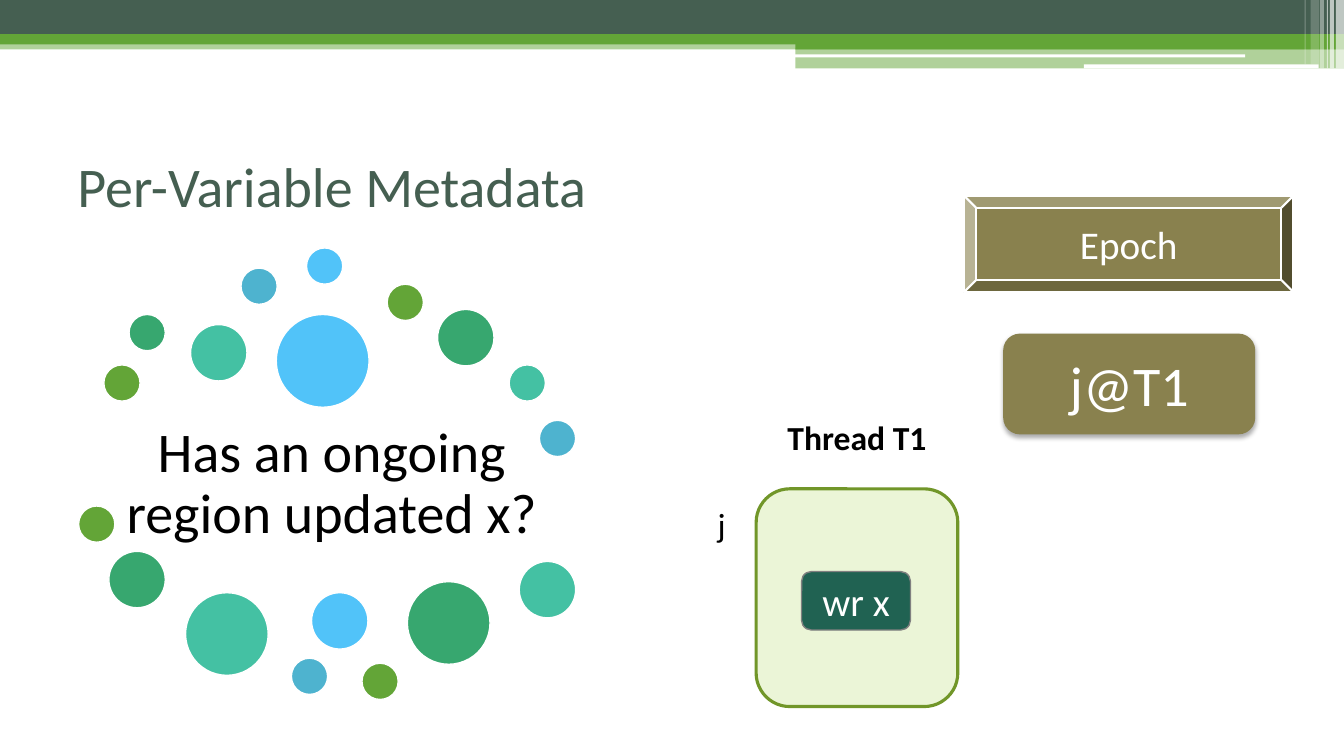
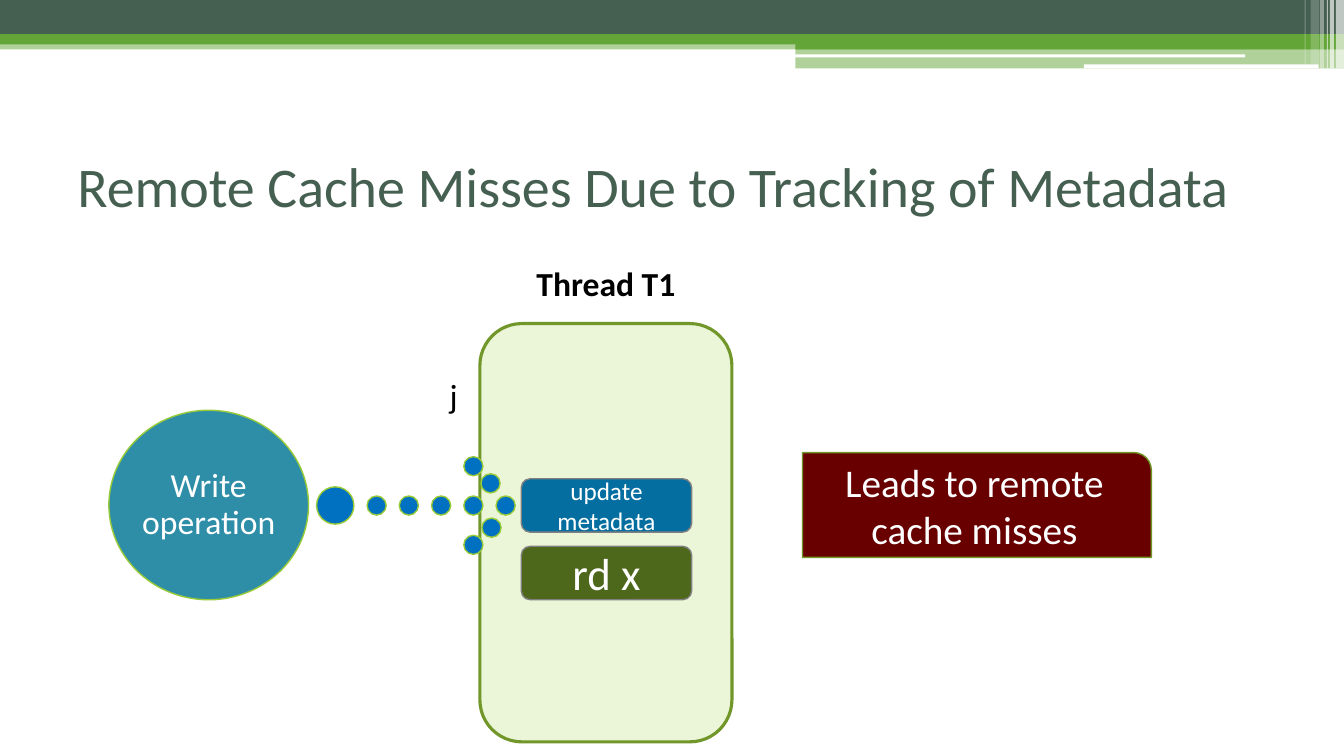
from itertools import cycle
from typing import NamedTuple

from lxml.etree import SubElement
from pptx import Presentation
from pptx.dml.color import RGBColor
from pptx.enum.shapes import MSO_SHAPE
from pptx.enum.text import MSO_ANCHOR, PP_ALIGN
from pptx.oxml.ns import qn
from pptx.util import Pt

EMU_PER_PX = 9144
SLIDE_W, SLIDE_H = 1333, 750
FONT = "Calibri"

WHITE = RGBColor(0xFF, 0xFF, 0xFF)
BLACK = RGBColor(0x00, 0x00, 0x00)
FOREST = RGBColor(0x45, 0x5F, 0x51)
GREEN = RGBColor(0x63, 0xA5, 0x37)
EMERALD = RGBColor(0x37, 0xA7, 0x6F)
TEAL = RGBColor(0x44, 0xC1, 0xA3)
LAGOON = RGBColor(0x4E, 0xB3, 0xCF)
SKY = RGBColor(0x51, 0xC3, 0xF9)
KHAKI = RGBColor(0x89, 0x81, 0x4E)
LANE_FILL = RGBColor(0xEB, 0xF5, 0xD7)
LANE_EDGE = RGBColor(0x71, 0x96, 0x29)
GRAY = RGBColor(0x80, 0x80, 0x80)
WRITE_FILL = RGBColor(0x20, 0x62, 0x52)
READ_FILL = RGBColor(0x4D, 0x67, 0x1B)
UPDATE_FILL = RGBColor(0x05, 0x6E, 0xA0)
MAROON = RGBColor(0x68, 0x00, 0x00)
DOT_BLUE = RGBColor(0x00, 0x70, 0xC0)
LIME = RGBColor(0x99, 0xCB, 0x38)
WRITER_FILL = RGBColor(0x2E, 0x8E, 0xA8)


class Box(NamedTuple):
    """A rectangle in px."""
    x: int
    y: int
    w: int
    h: int

    def inner(self, x, y, w, h):
        """Return a box whose corner is measured from this one."""
        return Box(self.x + x, self.y + y, w, h)

    def emu(self):
        """Return the four lengths in EMU."""
        return [length * EMU_PER_PX for length in self]


BAND_BOX = Box(0, 0, SLIDE_W, 68)
BANDS = [
    (0, 40, 1333, 9, GREEN, 50),
    (0, 0, 1333, 34, FOREST, 100),
    (0, 34, 1333, 10, GREEN, 100),
    (789, 39, 544, 10, GREEN, 100),
    (789, 48, 544, 20, GREEN, 50),
    (788, 54, 447, 3, WHITE, 100),
    (1075, 64, 233, 4, WHITE, 100),
    (1325, 0, 8, 68, WHITE, 65),
    (1319, 0, 4, 68, WHITE, 65),
    (1316, 0, 1, 68, WHITE, 60),
    (1309, 0, 4, 68, WHITE, 40),
    (1300, 0, 8, 64, WHITE, 20),
    (1294, 0, 1, 64, WHITE, 30),
]
TITLE_BOX = Box(67, 125, 1200, 117)

BUBBLE_COLORS = (GREEN, EMERALD, TEAL, LAGOON, SKY)
BUBBLES = [
    (25, 116, 36), (50, 66, 36), (111, 76, 56), (161, 20, 36), (226, 0, 36),
    (306, 36, 36), (356, 61, 56), (427, 116, 36), (457, 171, 36), (196, 66, 92),
    (0, 256, 36), (30, 301, 56), (106, 342, 82), (211, 407, 36), (231, 342, 56),
    (281, 412, 36), (326, 331, 82), (437, 311, 56),
]

DOT, DOT_STEP = 19, 32
ARROW_TAIL = (0, 30, 37)
ARROW_SHAFT = [(50 + DOT_STEP * i, 39, DOT) for i in range(5)]
ARROW_HEAD = [(146, 0, DOT), (163, 17, DOT), (164, 61, DOT), (146, 78, DOT)]


def write(shape, text, size, color=WHITE, bold=False, align=PP_ALIGN.CENTER,
          anchor=MSO_ANCHOR.MIDDLE, wrap=True, spacing=None, inset=None):
    """Set and format the single paragraph of a shape."""
    frame = shape.text_frame
    frame.text = text
    frame.word_wrap = wrap
    frame.vertical_anchor = anchor
    if inset is not None:
        frame.margin_left = frame.margin_right = inset * EMU_PER_PX
        frame.margin_top = frame.margin_bottom = inset * EMU_PER_PX
    paragraph = frame.paragraphs[0]
    paragraph.alignment = align
    if spacing:
        paragraph.line_spacing = spacing
    font = paragraph.runs[0].font
    font.name, font.size, font.bold = FONT, Pt(size), bold
    font.color.rgb = color


def set_alpha(color_parent, percent):
    """Make the solid colour under an element translucent."""
    color = color_parent.find(".//" + qn("a:srgbClr"))
    SubElement(color, qn("a:alpha"), val=str(percent * 1000))


def add_block(slide, kind, box, fill, edge=None, edge_width=1, alpha=100):
    """Add a filled preset shape without shadow."""
    block = slide.shapes.add_shape(kind, *box.emu())
    block.shadow.inherit = False
    block.fill.solid()
    block.fill.fore_color.rgb = fill
    if alpha < 100:
        set_alpha(block.element.spPr.find(qn("a:solidFill")).getparent(), alpha)
    if edge is None:
        block.line.fill.background()
    else:
        block.line.color.rgb = edge
        block.line.width = Pt(edge_width)
    return block


def add_label(slide, box, text, size, **style):
    """Add a text box with one paragraph."""
    write(slide.shapes.add_textbox(*box.emu()), text, size, **style)


def add_drop_shadow(block):
    """Give a block a soft shadow below it."""
    effects = block.element.spPr.find(qn("a:effectLst"))
    shadow = SubElement(effects, qn("a:outerShdw"), blurRad=str(Pt(3.5)),
                        dist=str(Pt(2.2)), dir="5400000", rotWithShape="0")
    SubElement(shadow, qn("a:srgbClr"), val=str(BLACK))
    set_alpha(shadow, 32)


def add_dots(slide, box, dots, colors, edge):
    """Add circles given as x, y, diameter, cycling through colours."""
    for (x, y, diameter), color in zip(dots, cycle(colors)):
        add_block(slide, MSO_SHAPE.OVAL, box.inner(x, y, diameter, diameter), color, edge)


def add_base(deck, title):
    """Add a blank slide with the top bands and its title."""
    slide = deck.slides.add_slide(deck.slide_layouts[6])
    for *place, color, alpha in BANDS:
        add_block(slide, MSO_SHAPE.RECTANGLE, BAND_BOX.inner(*place), color, alpha=alpha)
    add_label(slide, TITLE_BOX, title, 40, color=FOREST, align=PP_ALIGN.LEFT)
    return slide


def add_thread(slide, box, name_y, index_at, operations):
    """Add a thread lane with its name, region index and operations."""
    add_block(slide, MSO_SHAPE.ROUNDED_RECTANGLE, box, LANE_FILL, LANE_EDGE, 2.25)
    add_label(slide, box.inner(0, name_y, box.w, 50), "Thread T1", 24, color=BLACK,
              bold=True, anchor=MSO_ANCHOR.TOP)
    add_label(slide, box.inner(*index_at, 28, 50), "j", 24, color=BLACK,
              align=PP_ALIGN.LEFT, anchor=MSO_ANCHOR.TOP, wrap=False)
    for place, text, size, fill in operations:
        operation = add_block(slide, MSO_SHAPE.ROUNDED_RECTANGLE, box.inner(*place),
                              fill, GRAY)
        write(operation, text, size)


def add_question(slide, box):
    """Add the question surrounded by bubbles."""
    add_label(slide, box.inner(26, 161, 450, 148), "Has an ongoing region updated x?",
              40, color=BLACK, spacing=0.9, inset=6)
    add_dots(slide, box, BUBBLES, BUBBLE_COLORS, WHITE)


def add_epoch(slide, box):
    """Add the epoch heading and its value."""
    heading = add_block(slide, MSO_SHAPE.BEVEL, box.inner(0, 0, box.w, 96), KHAKI,
                        WHITE, 1.5)
    write(heading, "Epoch", 28)
    value = add_block(slide, MSO_SHAPE.ROUNDED_RECTANGLE, box.inner(39, 137, 250, 100),
                      KHAKI)
    add_drop_shadow(value)
    write(value, "j@T1", 40)


def add_writer(slide, box):
    """Add the write operation and its dotted arrow."""
    writer = add_block(slide, MSO_SHAPE.OVAL, box.inner(0, 0, 198, box.h), WRITER_FILL, LIME)
    write(writer, "Write operation", 24, spacing=0.9, inset=3)
    arrow = box.inner(206, 46, 196, 97)
    add_dots(slide, arrow, [ARROW_TAIL, *ARROW_SHAFT, *ARROW_HEAD], [DOT_BLUE], LIME)


def add_consequence(slide, box):
    """Add the callout naming the consequence."""
    callout = add_block(slide, MSO_SHAPE.ROUND_1_RECTANGLE, box, MAROON, LANE_EDGE)
    write(callout, "Leads to remote cache misses", 28)


def build_metadata(deck):
    """Build the slide on per-variable metadata."""
    slide = add_base(deck, "Per-Variable Metadata")
    add_epoch(slide, Box(956, 194, 327, 237))
    add_question(slide, Box(78, 246, 493, 448))
    add_thread(slide, Box(750, 485, 200, 216), -76, (-48, 10),
               [((45, 82, 108, 58), "wr x", 28, WRITE_FILL)])


def build_cache_misses(deck):
    """Build the slide on remote cache misses."""
    slide = add_base(deck, "Remote Cache Misses Due to Tracking of Metadata")
    add_thread(slide, Box(476, 321, 250, 415), -65, (-40, 46),
               [((41, 154, 169, 53), "update metadata", 18, UPDATE_FILL),
                ((41, 221, 169, 53), "rd x", 32, READ_FILL)])
    add_consequence(slide, Box(796, 449, 346, 104))
    add_writer(slide, Box(108, 407, 402, 188))


def main():
    """Build and save the deck."""
    deck = Presentation()
    deck.slide_width = SLIDE_W * EMU_PER_PX
    deck.slide_height = SLIDE_H * EMU_PER_PX
    build_metadata(deck)
    build_cache_misses(deck)
    deck.save("out.pptx")


if __name__ == "__main__":
    main()
